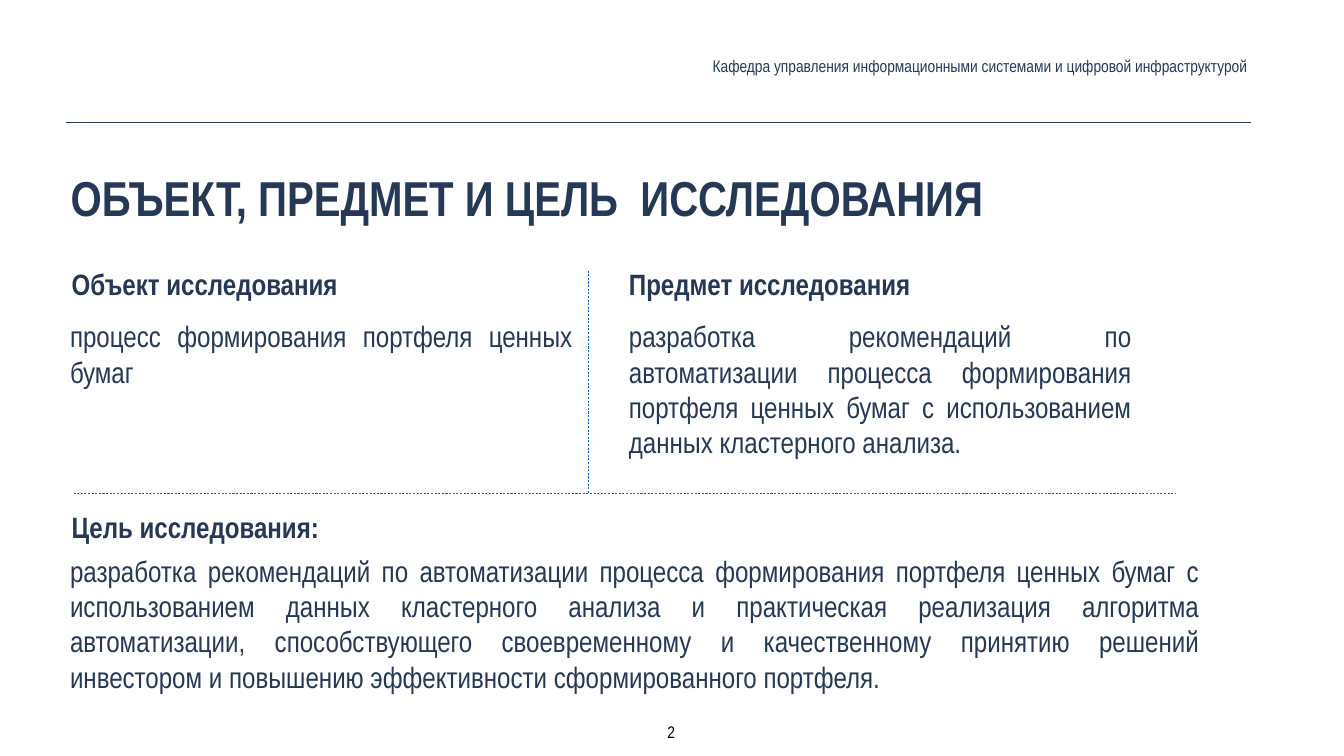
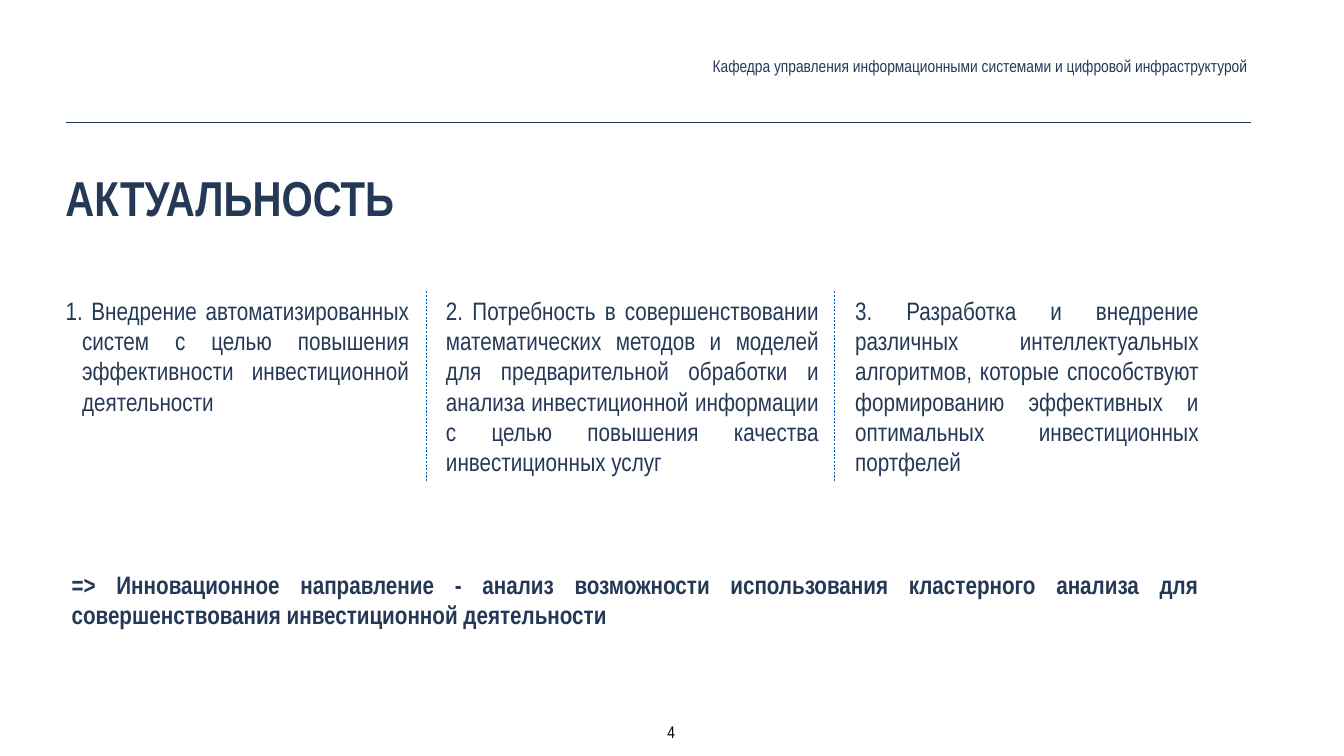
"""Build two research slides: object, subject and goal; relevance."""
from dataclasses import dataclass

from lxml.etree import SubElement
from pptx import Presentation
from pptx.dml.color import RGBColor as RGB
from pptx.enum.dml import MSO_LINE
from pptx.enum.shapes import MSO_CONNECTOR
from pptx.enum.text import MSO_ANCHOR as ANCHOR, MSO_AUTO_SIZE as AUTO, PP_ALIGN as ALIGN
from pptx.oxml.ns import qn
from pptx.util import Pt

PX = 9144
DEPARTMENT = "Кафедра управления информационными системами и цифровой инфраструктурой"


@dataclass(frozen=True)
class Theme:
    """Colours, font and type sizes."""
    font: str = "Arial Narrow"
    navy: str = "253957"
    blue: str = "0365C0"
    black: str = "000000"
    white: str = "FFFFFF"
    title: int = 70
    body: int = 42
    point: int = 36
    small: int = 24
    inset: int = 8


def write(tf, text, *, font, size, color, bold=False, align=None, number=False, hang=33):
    """Write one formatted paragraph, numbered if asked."""
    p = tf.paragraphs[0]
    if align is not None:
        p.alignment = align
    if number:
        pPr = p._p.get_or_add_pPr()
        pPr.set("marL", str(hang * PX))
        pPr.set("indent", str(-hang * PX))
        SubElement(pPr, qn("a:buFont"), typeface=font)
        SubElement(pPr, qn("a:buAutoNum"), type="arabicPeriod")
    r = p.add_run()
    r.text = text
    r.font.name, r.font.size, r.font.bold = font, Pt(size), bold
    r.font.color.rgb = RGB.from_string(color)


class Deck:
    """Holds the theme and the current slide, and draws each kind of element."""

    def __init__(self, theme, width, height):
        """Start an empty presentation of the given size."""
        self.theme = theme
        self.prs = Presentation()
        self.prs.slide_width, self.prs.slide_height = width * PX, height * PX
        self.slide = None

    def new_slide(self, title, page, left):
        """Add a slide with its header, rule, title and page number."""
        t = self.theme
        self.slide = self.prs.slides.add_slide(self.prs.slide_layouts[6])
        fill = self.slide.background.fill
        fill.solid()
        fill.fore_color.rgb = RGB.from_string(t.white)
        self.line(131, 242, 2483, 242, t.navy, 1)
        self.text(DEPARTMENT, 1240, 103, 1243, 56, anchor=ANCHOR.MIDDLE, grow=True,
                  size=t.small, align=ALIGN.RIGHT)
        self.text(title, left, 325, 2146, 253, size=t.title, bold=True)
        self.text(str(page), 1305, 1423, 54, 56, grow=True, wrap=False,
                  size=t.small, color=t.black, align=ALIGN.CENTER)

    def text(self, text, x, y, w, h, *, anchor=ANCHOR.TOP, grow=False, wrap=True, **style):
        """Add a text box; further keywords format its text."""
        t = self.theme
        tf = self.slide.shapes.add_textbox(x * PX, y * PX, w * PX, h * PX).text_frame
        tf.word_wrap, tf.vertical_anchor = wrap, anchor
        tf.auto_size = AUTO.SHAPE_TO_FIT_TEXT if grow else AUTO.NONE
        tf.margin_left = tf.margin_right = tf.margin_top = tf.margin_bottom = t.inset * PX
        write(tf, text, **{"font": t.font, "color": t.navy, "size": t.body, **style})

    def heading(self, text, x, y):
        """Add a bold section heading."""
        self.text(text, x, y, 1010, 145, anchor=ANCHOR.BOTTOM, bold=True)

    def body(self, text, x, y, w, h, **style):
        """Add a justified block of text."""
        self.text(text, x, y, w, h, align=ALIGN.JUSTIFY, **style)

    def line(self, x1, y1, x2, y2, color, width, dash=None):
        """Add a straight line without a shadow."""
        sp = self.slide.shapes.add_connector(
            MSO_CONNECTOR.STRAIGHT, x1 * PX, y1 * PX, x2 * PX, y2 * PX)
        sp.line.color.rgb = RGB.from_string(color)
        sp.line.width = Pt(width)
        if dash is not None:
            sp.line.dash_style = dash
        SubElement(sp._element.spPr, qn("a:effectLst"))

    def divider(self, x1, y1, x2, y2):
        """Add a dashed divider."""
        self.line(x1, y1, x2, y2, self.theme.blue, 0.75, MSO_LINE.DASH)


def goal_slide(deck):
    """Show the object, subject and goal of the research."""
    deck.new_slide("ОБЪЕКТ, ПРЕДМЕТ И ЦЕЛЬ  ИССЛЕДОВАНИЯ", 2, 132)
    columns = (
        (134, 131, "Объект исследования", "процесс формирования портфеля ценных бумаг"),
        (1240, 1240, "Предмет исследования",
         "разработка рекомендаций по автоматизации процесса формирования портфеля "
         "ценных бумаг с использованием данных кластерного анализа."),
    )
    for heading_x, body_x, heading, body in columns:
        deck.heading(heading, heading_x, 461)
        deck.body(body, body_x, 624, 1013, 709)
    deck.divider(1168, 537, 1168, 978)
    deck.divider(146, 978, 2333, 978)
    deck.heading("Цель исследования:", 134, 943)
    deck.body(
        "разработка рекомендаций по автоматизации процесса формирования портфеля ценных "
        "бумаг с использованием данных кластерного анализа и практическая реализация "
        "алгоритма автоматизации, способствующего своевременному и качественному принятию "
        "решений инвестором и повышению эффективности сформированного портфеля.",
        131, 1089, 2257, 364)


def relevance_slide(deck):
    """Show three reasons and the conclusion drawn from them."""
    size = deck.theme.point
    deck.new_slide("АКТУАЛЬНОСТЬ", 4, 122)
    reasons = (
        (122, 698, True, " Внедрение автоматизированных систем с целью повышения "
         "эффективности инвестиционной деятельности"),
        (877, 756, False, "2. Потребность в совершенствовании математических методов и моделей "
         "для предварительной обработки и анализа инвестиционной информации с целью "
         "повышения качества инвестиционных услуг"),
        (1689, 698, False, "3. Разработка и внедрение различных интеллектуальных алгоритмов, "
         "которые способствуют формированию эффективных и оптимальных инвестиционных портфелей"),
    )
    for x, w, number, reason in reasons:
        deck.body(reason, x, 578, w, 810, size=size, number=number)
    for x in (845, 1656):
        deck.divider(x, 578, x, 955)
    deck.body("=> Инновационное направление - анализ возможности использования кластерного "
              "анализа для совершенствования инвестиционной деятельности",
              134, 1122, 2253, 275, size=size, bold=True)


def main():
    """Build and save the presentation."""
    deck = Deck(Theme(), 2667, 1500)
    goal_slide(deck)
    relevance_slide(deck)
    deck.prs.save("out.pptx")


if __name__ == "__main__":
    main()
